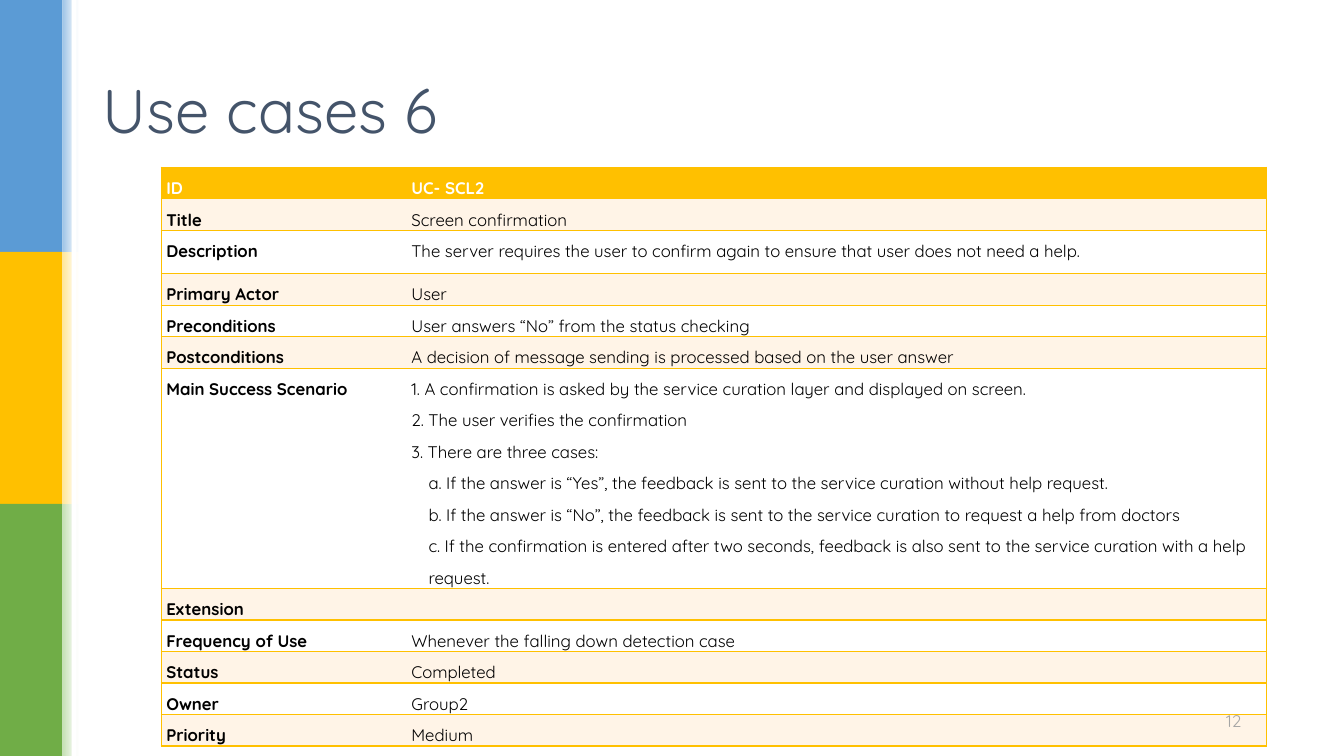
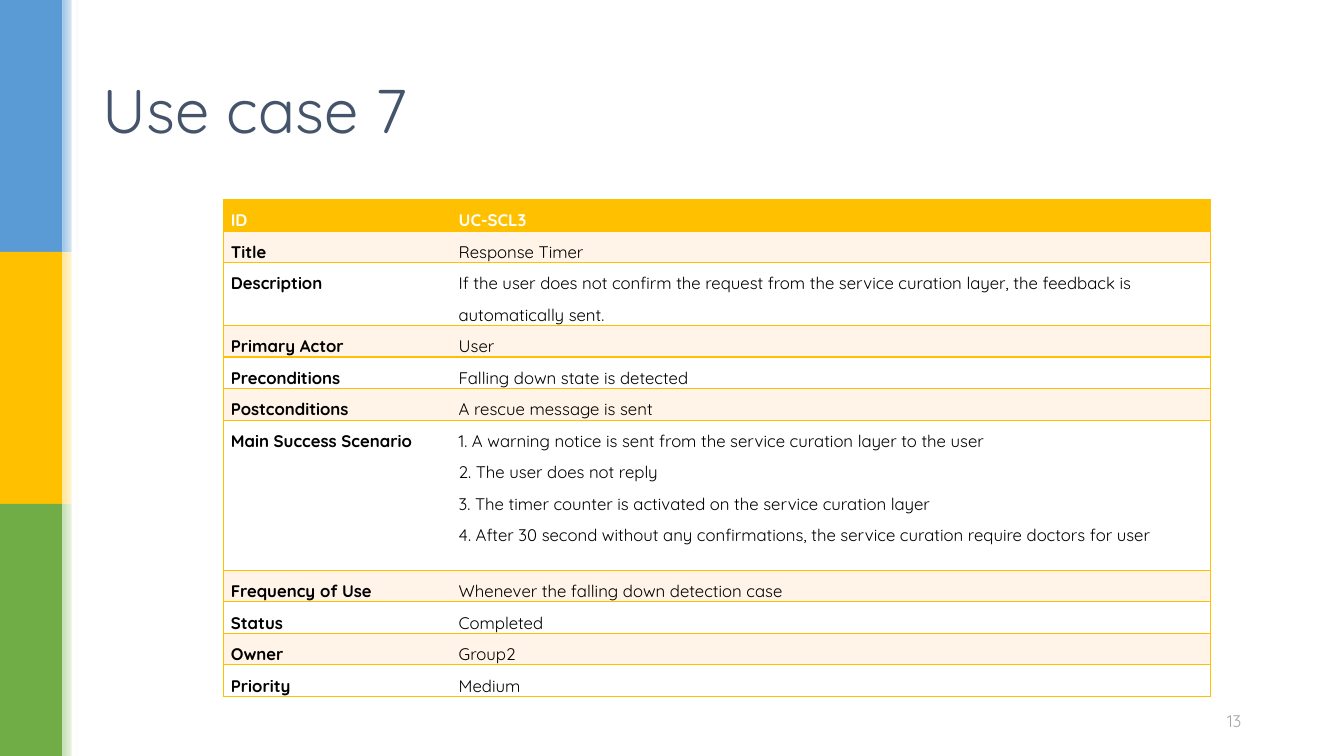
from lxml.etree import SubElement as Sub
from pptx import Presentation
from pptx.dml.color import RGBColor as Rgb
from pptx.enum.shapes import MSO_SHAPE as Shape
from pptx.enum.text import MSO_ANCHOR as Anchor, MSO_AUTO_SIZE as Fit, PP_ALIGN as Align
from pptx.oxml.ns import qn
from pptx.util import Inches, Pt

HUES = {
    "blue": "5B9BD5", "gold": "FFC000", "green": "70AD47",
    "sky": "9DC3E6", "sand": "FFE699", "mint": "C5E0B4",
    "white": "FFFFFF", "cream": "FFF4E7", "black": "000000",
    "slate": "44546A", "grey": "A5A5A5",
}
FONT = "Quicksand"
BANDS = [("blue", "sky"), ("gold", "sand"), ("green", "mint")]

CASES = [
    dict(
        title="Use cases 6", num=12, box=(1.6, 1.66), cols=(2.43, 8.53),
        pad=0.05, tall={"Description": 0.43, "Main Success Scenario": 2.18},
        rows=[
            ("ID", "UC- SCL2"),
            ("Title", "Screen confirmation"),
            ("Description", "The server requires the user to confirm again to ensure that user does not need a help."),
            ("Primary Actor", "User"),
            ("Preconditions", "User answers “No” from the status checking"),
            ("Postconditions", "A decision of message sending is processed based on the user answer"),
            ("Main Success Scenario", [
                "1. A confirmation is asked by the service curation layer and displayed on screen.",
                "2. The user verifies the confirmation",
                "3. There are three cases:",
                "a. If the answer is “Yes”, the feedback is sent to the service curation without help request.",
                "b. If the answer is “No”, the feedback is sent to the service curation to request a help from doctors",
                "c. If the confirmation is entered after two seconds, feedback is also sent to the service curation with a help request.",
            ]),
            ("Extension", []),
            ("Frequency of Use", "Whenever the falling down detection case"),
            ("Status", "Completed"),
            ("Owner", "Group2"),
            ("Priority", "Medium"),
        ],
    ),
    dict(
        title="Use case 7", num=13, box=(2.22, 1.98), cols=(2.26, 7.53),
        pad=0.07, tall={"Description": 0.62, "Main Success Scenario": 1.49},
        rows=[
            ("ID", "UC-SCL3"),
            ("Title", "Response Timer"),
            ("Description", "If the user does not confirm the request from the service curation layer, the feedback is automatically sent."),
            ("Primary Actor", "User"),
            ("Preconditions", "Falling down state is detected"),
            ("Postconditions", "A rescue message is sent"),
            ("Main Success Scenario", [
                "1. A warning notice is sent from the service curation layer to the user",
                "2. The user does not reply",
                "3. The timer counter is activated on the service curation layer",
                "4. After 30 second without any confirmations, the service curation require doctors for user",
            ]),
            ("Frequency of Use", "Whenever the falling down detection case"),
            ("Status", "Completed"),
            ("Owner", "Group2"),
            ("Priority", "Medium"),
        ],
    ),
]


def hue(name):
    return Rgb.from_string(HUES[name])


def write(frame, text, size=12, color="black", bold=False, align=Align.LEFT, space=None):
    lines = [text] if isinstance(text, str) else text
    for i, line in enumerate(lines):
        para = frame.add_paragraph() if i else frame.paragraphs[0]
        para.alignment = align
        if space:
            para.line_spacing = space
        if line.startswith(("a.", "b.", "c.")):
            para._p.get_or_add_pPr().set("marL", str(Inches(0.17)))
        run = para.add_run()
        run.text = line
        run.font.name = FONT
        run.font.size = Pt(size)
        run.font.bold = bold
        run.font.color.rgb = hue(color)


def edge(cell, sides):
    props = cell._tc.get_or_add_tcPr()
    for i, side in enumerate("LRTB"):
        line = Sub(props, qn("a:ln" + side), w=str(Pt(1)))
        if side in sides:
            fill = Sub(line, qn("a:solidFill"))
            Sub(fill, qn("a:srgbClr"), val=HUES["gold"])
        else:
            Sub(line, qn("a:noFill"))
        props.insert(i, line)


class Deck:
    def __init__(self):
        self.prs = Presentation()
        self.prs.slide_width = Inches(13.33)
        self.prs.slide_height = Inches(7.5)

    def start(self):
        self.slide = self.prs.slides.add_slide(self.prs.slide_layouts[5])
        for i, (main, soft) in enumerate(BANDS):
            self.rect(0, 2.5 * i, 0.62, 2.5, main)
            self.rect(0.62, 2.5 * i, 0.16, 2.5, soft, fade=True)
        self.rect(0.71, 0, 0.05, 7.5, "white")

    def rect(self, x, y, w, h, color, fade=False):
        box = self.slide.shapes.add_shape(
            Shape.RECTANGLE, Inches(x), Inches(y), Inches(w), Inches(h))
        box.shadow.inherit = False
        box.line.fill.background()
        if fade:
            box.fill.gradient()
            box.fill.gradient_angle = 0
            for stop, name in zip(box.fill.gradient_stops, (color, "white")):
                stop.color.rgb = hue(name)
        else:
            box.fill.solid()
            box.fill.fore_color.rgb = hue(color)

    def title(self, text):
        head = self.slide.shapes.title
        head.left, head.top = Inches(0.92), Inches(0.4)
        head.width, head.height = Inches(11.5), Inches(1.45)
        frame = head.text_frame
        frame.auto_size = Fit.NONE
        frame.vertical_anchor = Anchor.MIDDLE
        write(frame, text, size=44, color="slate", space=0.9)

    def number(self, num):
        box = self.slide.shapes.add_textbox(
            Inches(8.83), Inches(6.95), Inches(3.58), Inches(0.4))
        frame = box.text_frame
        frame.word_wrap = True
        frame.vertical_anchor = Anchor.MIDDLE
        write(frame, str(num), color="grey", align=Align.RIGHT)

    def table(self, rows, box, cols, pad, tall):
        highs = [tall.get(name, 0.31) for name, _ in rows]
        grid = self.slide.shapes.add_table(
            len(rows), len(cols), Inches(box[0]), Inches(box[1]),
            Inches(sum(cols)), Inches(sum(highs))).table
        for col, wide in zip(grid.columns, cols):
            col.width = Inches(wide)
        for r, (row, high) in enumerate(zip(rows, highs)):
            grid.rows[r].height = Inches(high)
            back = "gold" if r == 0 else "cream" if r % 2 else "white"
            for c, text in enumerate(row):
                cell = grid.cell(r, c)
                cell.margin_left = cell.margin_right = Inches(pad)
                cell.margin_top = cell.margin_bottom = 0
                cell.fill.solid()
                cell.fill.fore_color.rgb = hue(back)
                edge(cell, "RTB" if c else "LTB")
                write(cell.text_frame, text, color="black" if r else "white",
                      bold=r == 0 or c == 0, space=1.5)


def main():
    deck = Deck()
    for case in CASES:
        deck.start()
        deck.title(case["title"])
        deck.table(case["rows"], case["box"], case["cols"], case["pad"], case["tall"])
        deck.number(case["num"])
    deck.prs.save("out.pptx")


if __name__ == "__main__":
    main()
